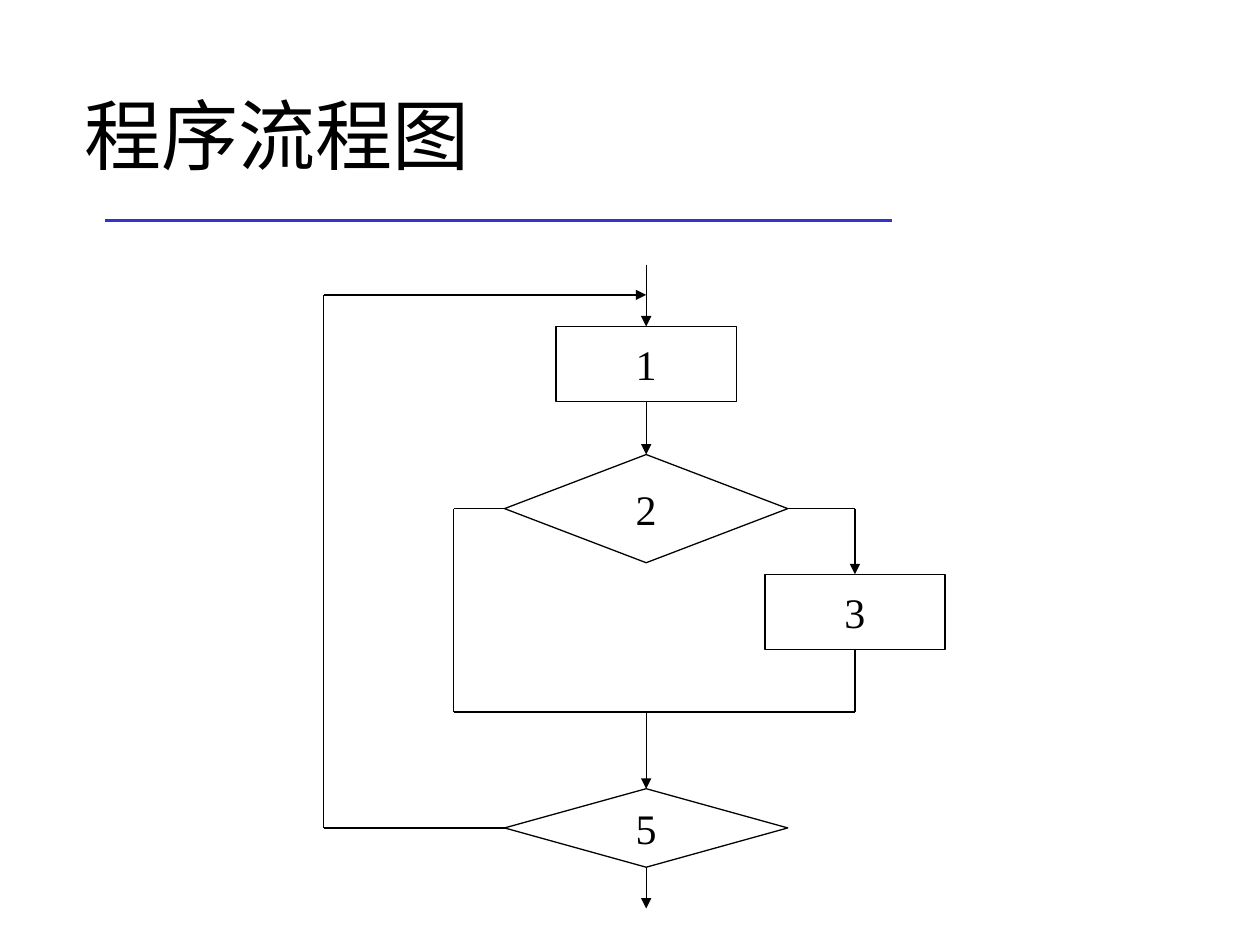
from collections import namedtuple

from lxml.etree import SubElement
from pptx import Presentation
from pptx.dml.color import RGBColor
from pptx.enum.shapes import MSO_CONNECTOR, MSO_SHAPE
from pptx.enum.text import MSO_ANCHOR, MSO_AUTO_SIZE, PP_ALIGN
from pptx.oxml.ns import qn
from pptx.util import Inches, Pt

BLACK = RGBColor(0x00, 0x00, 0x00)
BLUE = RGBColor(0x33, 0x33, 0xCC)
FONT = "Times New Roman"
TOP, LEFT, BOTTOM, RIGHT = range(4)

Box = namedtuple("Box", "left top width height")


def inside(box, x, y):
    """Turn percentages of a box into a point on the slide."""
    return (round(box.left + box.width * x / 100),
            round(box.top + box.height * y / 100))


def set_font(paragraph, size):
    paragraph.font.name = FONT
    paragraph.font.size = Pt(size)
    paragraph.font.color.rgb = BLACK


def add_line(page, start, end, color=BLACK, width=0.75, arrow=False):
    line = page.shapes.add_connector(MSO_CONNECTOR.STRAIGHT, *start, *end)
    line.line.color.rgb = color
    line.line.width = Pt(width)
    if arrow:
        SubElement(line.line._get_or_add_ln(), qn("a:tailEnd"), type="triangle")
    SubElement(line._element.spPr, qn("a:effectLst"))
    return line


def add_heading(page, box):
    title = page.shapes.title
    title.left, title.top, title.width, title.height = box
    frame = title.text_frame
    frame.text = "程序流程图"
    frame.auto_size = MSO_AUTO_SIZE.NONE
    frame.vertical_anchor = MSO_ANCHOR.MIDDLE
    para = frame.paragraphs[0]
    para.alignment = PP_ALIGN.LEFT
    set_font(para, 44)
    # Rule below the title
    add_line(page, inside(box, 3, 104.8), inside(box, 75, 104.8), BLUE, 2.25)


def add_node(page, box, kind, label, center, top, width, height):
    start = inside(box, center - width / 2, top)
    end = inside(box, center + width / 2, top + height)
    node = page.shapes.add_shape(
        kind, *start, end[0] - start[0], end[1] - start[1])
    node.shadow.inherit = False
    node.fill.background()
    node.line.color.rgb = BLACK
    node.line.width = Pt(0.75)
    frame = node.text_frame
    frame.word_wrap = False
    frame.vertical_anchor = MSO_ANCHOR.MIDDLE
    para = frame.paragraphs[0]
    para.text = label
    para.alignment = PP_ALIGN.CENTER
    set_font(para, 24)
    return node


def add_flowchart(page, box):
    # Columns and rows, in percent of the box
    loop, skip, main, branch = 0, 20.9, 51.9, 85.5
    entry, back, merge, leave = 0, 4.7, 69.5, 100
    test_middle, repeat_middle = 37.9, 87.5

    # Steps and decisions
    step, choice = MSO_SHAPE.RECTANGLE, MSO_SHAPE.DIAMOND
    first = add_node(page, box, step, "1", main, 9.6, 29, 11.7)
    third = add_node(page, box, step, "3", branch, 48.1, 29, 11.7)
    test = add_node(page, box, choice, "2", main, 29.5, 45.6, 16.8)
    repeat = add_node(page, box, choice, "5", main, 81.4, 45.6, 12.2)

    # Flow lines: an end is a (column, row) point or a (node, side) joint
    flows = [
        ((main, entry), (first, TOP), True),
        ((first, BOTTOM), (test, TOP), True),
        ((test, RIGHT), (branch, test_middle), False),
        ((branch, test_middle), (third, TOP), True),
        ((test, LEFT), (skip, test_middle), False),
        ((skip, test_middle), (skip, merge), False),
        ((third, BOTTOM), (branch, merge), False),
        ((branch, merge), (skip, merge), False),
        ((main, merge), (repeat, TOP), True),
        ((repeat, LEFT), (loop, repeat_middle), False),
        ((loop, repeat_middle), (loop, back), False),
        ((loop, back), (main, back), True),
        ((repeat, BOTTOM), (main, leave), True),
    ]
    nodes = (first, third, test, repeat)
    for start, end, arrow in flows:
        points = [(0, 0) if place[0] in nodes else inside(box, *place)
                  for place in (start, end)]
        line = add_line(page, *points, arrow=arrow)
        if start[0] in nodes:
            line.begin_connect(*start)
        if end[0] in nodes:
            line.end_connect(*end)


def main():
    deck = Presentation()
    deck.slide_width, deck.slide_height = Inches(10), Inches(7.5)
    page = deck.slides.add_slide(deck.slide_layouts.get_by_name("Title Only"))
    add_heading(page, Box(Inches(0.57), Inches(0.44), Inches(8.68), Inches(1.25)))
    add_flowchart(page, Box(Inches(2.57), Inches(2.1), Inches(4.93), Inches(5.11)))
    deck.save("out.pptx")


if __name__ == "__main__":
    main()
